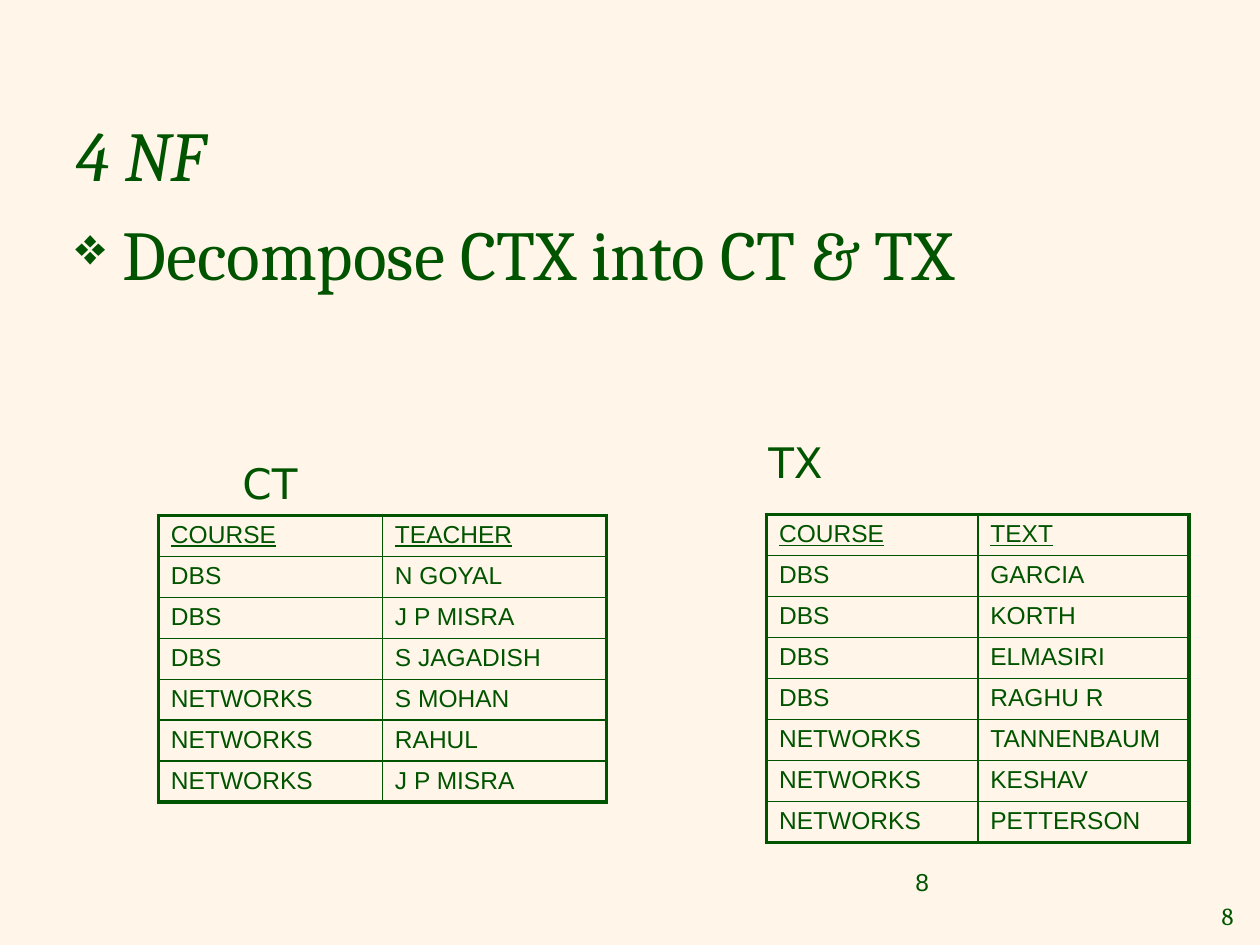
from dataclasses import dataclass

from lxml.etree import SubElement
from pptx import Presentation
from pptx.dml.color import RGBColor
from pptx.enum.text import MSO_ANCHOR as Anchor, PP_ALIGN as Align
from pptx.oxml.ns import qn
from pptx.util import Pt


@dataclass(frozen=True)
class Theme:
    ink: str = "005400"
    background: str = "FFF6E9"
    serif: str = "Cambria"
    sans: str = "Arial"
    label_font: str = "DejaVu Sans"
    heading_size: int = 40
    label_size: int = 24
    small_size: int = 14
    frame_width: float = 2.25
    grid_width: float = 1


THEME = Theme()
INK = RGBColor.from_string(THEME.ink)
SLIDE_SIZE = (720, 540)
ROW_HEIGHT = 23
CELL_MARGIN = 3.3

TITLE = ("4 NF", (36, 64, 648, 47.5))
BULLET = ("Decompose CTX into CT & TX", (36, 126, 621.5, 155.5))
PAGE_NUMBERS = [
    ("8", (680.5, 511, 31.5, 24), THEME.serif, Align.RIGHT, Anchor.MIDDLE, False),
    ("8", (516, 492, 168, 37.5), THEME.sans, Align.LEFT, Anchor.TOP, True),
]
RELATIONS = [
    {
        "name": "CT",
        "label": (131.5, 258, 66, 36),
        "origin": (90.5, 294.5),
        "column_width": 128,
        "rows": [
            ("COURSE", "TEACHER"),
            ("DBS", "N GOYAL"),
            ("DBS", "J P MISRA"),
            ("DBS", "S JAGADISH"),
            ("NETWORKS", "S MOHAN"),
            ("NETWORKS", "RAHUL"),
            ("NETWORKS", "J P MISRA"),
        ],
    },
    {
        "name": "TX",
        "label": (432, 246, 66, 36),
        "origin": (438, 294),
        "column_width": 120.75,
        "rows": [
            ("COURSE", "TEXT"),
            ("DBS", "GARCIA"),
            ("DBS", "KORTH"),
            ("DBS", "ELMASIRI"),
            ("DBS", "RAGHU R"),
            ("NETWORKS", "TANNENBAUM"),
            ("NETWORKS", "KESHAV"),
            ("NETWORKS", "PETTERSON"),
        ],
    },
]


def add_run(paragraph, text, font, size, italic=False, underline=False):
    run = paragraph.add_run()
    run.text = text
    run.font.name = font
    run.font.size = Pt(size)
    run.font.color.rgb = INK
    run.font.italic = italic
    run.font.underline = underline


def add_text(slide, box, text, font, size, align=Align.LEFT, anchor=Anchor.TOP,
             wrap=True, italic=False):
    shape = slide.shapes.add_textbox(*map(Pt, box))
    frame = shape.text_frame
    frame.word_wrap = wrap
    frame.vertical_anchor = anchor
    paragraph = frame.paragraphs[0]
    paragraph.alignment = align
    add_run(paragraph, text, font, size, italic)
    return paragraph


def add_bullet(paragraph):
    properties = paragraph._p.get_or_add_pPr()
    properties.set("marL", str(Pt(27)))
    properties.set("indent", str(Pt(-27)))
    color = SubElement(properties, qn("a:buClr"))
    SubElement(color, qn("a:srgbClr"), val=THEME.ink)
    SubElement(properties, qn("a:buSzPct"), val="75000")
    SubElement(properties, qn("a:buChar"), char="❖")
    tabs = SubElement(properties, qn("a:tabLst"))
    SubElement(tabs, qn("a:tab"), pos=str(Pt(58.5)), algn="l")
    paragraph.line_spacing = 0.8


def set_borders(cell, outer_sides):
    properties = cell._tc.get_or_add_tcPr()
    for position, (side, outer) in enumerate(outer_sides.items()):
        width = THEME.frame_width if outer else THEME.grid_width
        line = properties.makeelement(qn(f"a:ln{side}"), {"w": str(Pt(width))})
        fill = SubElement(line, qn("a:solidFill"))
        SubElement(fill, qn("a:srgbClr"), val=THEME.ink)
        properties.insert(position, line)


def add_relation(slide, relation):
    rows = relation["rows"]
    row_count, column_count = len(rows), len(rows[0])
    width = relation["column_width"]
    size = (column_count * width, row_count * ROW_HEIGHT)
    box = map(Pt, relation["origin"] + size)
    table = slide.shapes.add_table(row_count, column_count, *box).table
    table.first_row = table.horz_banding = False
    for column in table.columns:
        column.width = Pt(width)
    for row_index, values in enumerate(rows):
        table.rows[row_index].height = Pt(ROW_HEIGHT)
        for column_index, value in enumerate(values):
            cell = table.cell(row_index, column_index)
            cell.fill.background()
            cell.margin_top = cell.margin_bottom = Pt(CELL_MARGIN)
            add_run(cell.text_frame.paragraphs[0], value, THEME.sans,
                    THEME.small_size, underline=row_index == 0)
            set_borders(cell, {
                "L": column_index == 0,
                "R": column_index == column_count - 1,
                "T": row_index == 0,
                "B": row_index == row_count - 1,
            })
    add_text(slide, relation["label"], relation["name"], THEME.label_font, THEME.label_size)


def main():
    presentation = Presentation()
    presentation.slide_width, presentation.slide_height = map(Pt, SLIDE_SIZE)
    slide = presentation.slides.add_slide(presentation.slide_layouts[6])
    slide.background.fill.solid()
    slide.background.fill.fore_color.rgb = RGBColor.from_string(THEME.background)

    for text, box, font, align, anchor, wrap in PAGE_NUMBERS:
        add_text(slide, box, text, font, THEME.small_size, align, anchor, wrap)
    title, title_box = TITLE
    add_text(slide, title_box, title, THEME.serif, THEME.heading_size,
             anchor=Anchor.MIDDLE, italic=True)
    bullet, bullet_box = BULLET
    add_bullet(add_text(slide, bullet_box, bullet, THEME.serif, THEME.heading_size))
    for relation in RELATIONS:
        add_relation(slide, relation)
    presentation.save("out.pptx")


if __name__ == "__main__":
    main()
